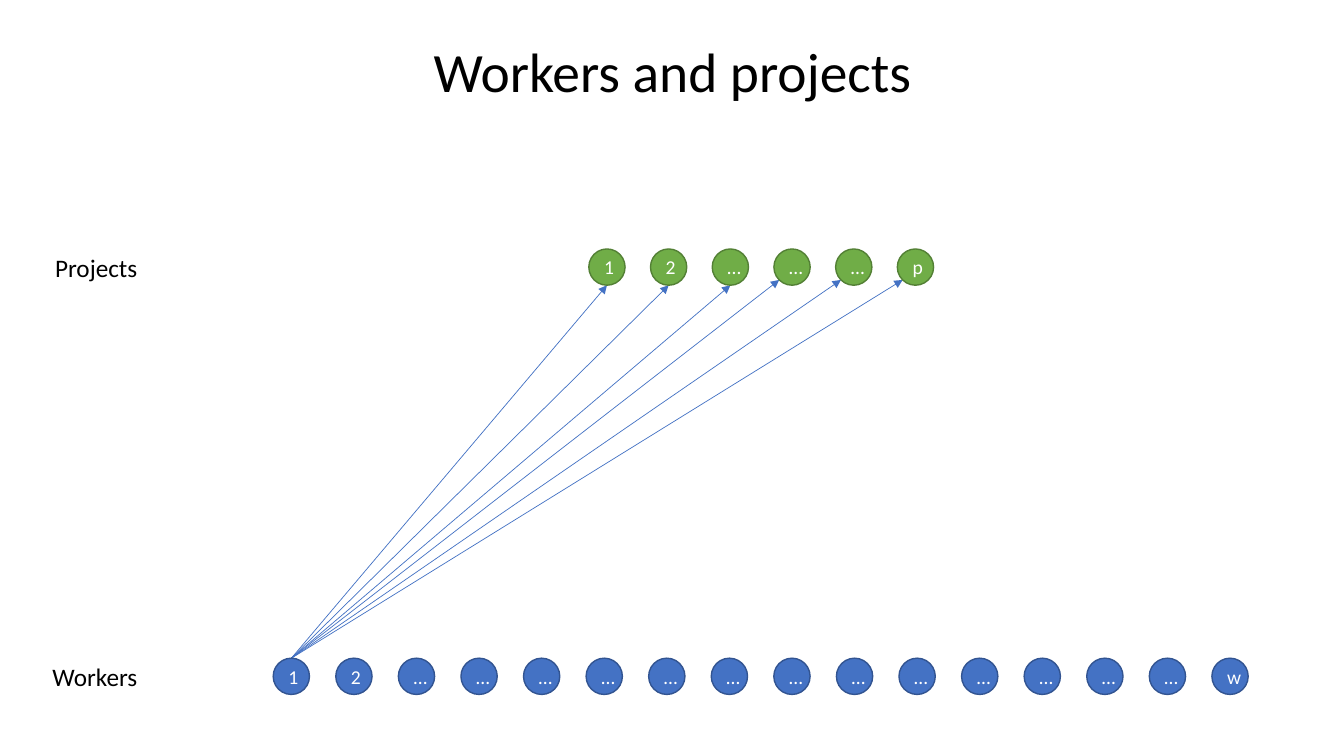
from dataclasses import dataclass
from math import cos, pi, sin

from lxml.etree import SubElement
from pptx import Presentation
from pptx.dml.color import RGBColor
from pptx.enum.shapes import MSO_CONNECTOR, MSO_SHAPE
from pptx.enum.text import MSO_ANCHOR, MSO_AUTO_SIZE, PP_ALIGN
from pptx.oxml.ns import qn
from pptx.util import Pt


@dataclass(frozen=True)
class Theme:
    """Colours, type sizes and line widths of the slide."""
    font: str = "Calibri"
    ink: str = "000000"
    node_text: str = "FFFFFF"
    project: tuple = ("70AD47", "538035")
    worker: tuple = ("4472C4", "325491")
    arrow: str = "4472C4"
    title_size: float = 39.6
    label_size: float = 18
    node_size: float = 14
    outline: float = 1
    arrow_width: float = 0.5


@dataclass(frozen=True)
class Box:
    """A region of the slide in px."""
    left: int
    top: int
    width: int
    height: int


THEME = Theme()
PX = 9144
NODE = 36
LABEL_BOX = Box(4, -2, 142, 40)
TITLE_BOX = Box(92, 40, 1150, 67)
PROJECTS_BOX = Box(584, 247, 342, NODE)
WORKERS_BOX = Box(271, 653, 967, NODE)
PROJECTS = ["1", "2", "…", "…", "…", "p"]
WORKERS = ["1", "2"] + ["…"] * 13 + ["w"]
BOTTOM, LOWER_LEFT = pi / 2, pi * 3 / 4
ARROW_ANGLES = [BOTTOM] * 3 + [LOWER_LEFT] * 3


def px(length):
    """Turn px into EMU."""
    return round(length * PX)


def emu(box):
    """Give the sides of a box in EMU."""
    return [px(side) for side in (box.left, box.top, box.width, box.height)]


def write(frame, text, size, color, align, **frame_format):
    """Write one formatted paragraph into a text frame."""
    for name, value in {"word_wrap": True, **frame_format}.items():
        setattr(frame, name, value)
    paragraph = frame.paragraphs[0]
    paragraph.text = text
    paragraph.alignment = align
    font = paragraph.runs[0].font
    for name, value in {"name": THEME.font, "size": Pt(size)}.items():
        setattr(font, name, value)
    font.color.rgb = RGBColor.from_string(color)
    return paragraph


def node_lefts(box, count):
    """Spread the left edges of equal nodes evenly over a box."""
    pitch = (box.width - NODE) / (count - 1)
    return [box.left + index * pitch for index in range(count)]


def add_title(slide, box):
    """Place and format the slide title."""
    title = slide.shapes.title
    for name, value in zip(("left", "top", "width", "height"), emu(box)):
        setattr(title, name, value)
    heading = write(title.text_frame, "Workers and projects", THEME.title_size,
                    THEME.ink, PP_ALIGN.CENTER, auto_size=MSO_AUTO_SIZE.NONE,
                    vertical_anchor=MSO_ANCHOR.MIDDLE)
    heading.line_spacing = 0.9


def add_row(slide, box, label, names, colors):
    """Draw a labelled row of round nodes."""
    row = slide.shapes.add_group_shape().shapes
    fill, outline = (RGBColor.from_string(color) for color in colors)
    for left, name in zip(node_lefts(box, len(names)), names):
        node = row.add_shape(MSO_SHAPE.OVAL, *emu(Box(left, box.top, NODE, NODE)))
        node.shadow.inherit = False
        node.fill.solid()
        node.fill.fore_color.rgb = fill
        node.line.color.rgb = outline
        node.line.width = Pt(THEME.outline)
        write(node.text_frame, name, THEME.node_size, THEME.node_text,
              PP_ALIGN.CENTER, vertical_anchor=MSO_ANCHOR.MIDDLE)
    label_box = Box(LABEL_BOX.left, box.top + LABEL_BOX.top,
                    LABEL_BOX.width, LABEL_BOX.height)
    caption = row.add_textbox(*emu(label_box))
    write(caption.text_frame, label, THEME.label_size, THEME.ink,
          PP_ALIGN.RIGHT, auto_size=MSO_AUTO_SIZE.SHAPE_TO_FIT_TEXT)


def add_arrows(slide, workers_box, projects_box):
    """Link the first worker to every project."""
    radius = NODE / 2
    start = px(workers_box.left + radius), px(workers_box.top)
    lefts = node_lefts(projects_box, len(PROJECTS))
    for left, angle in zip(lefts, ARROW_ANGLES):
        end_x = left + radius * (1 + cos(angle))
        end_y = projects_box.top + radius * (1 + sin(angle))
        arrow = slide.shapes.add_connector(
            MSO_CONNECTOR.STRAIGHT, *start, px(end_x), px(end_y))
        arrow.line.color.rgb = RGBColor.from_string(THEME.arrow)
        arrow.line.width = Pt(THEME.arrow_width)
        properties = arrow.element.spPr
        SubElement(properties.find(qn("a:ln")), qn("a:tailEnd"), type="triangle")
        SubElement(properties, qn("a:effectLst"))


def main():
    """Build and save the slide."""
    deck = Presentation()
    deck.slide_width, deck.slide_height = px(1333), px(750)
    slide = deck.slides.add_slide(deck.slide_layouts[5])
    add_title(slide, TITLE_BOX)
    add_arrows(slide, WORKERS_BOX, PROJECTS_BOX)
    add_row(slide, PROJECTS_BOX, "Projects", PROJECTS, THEME.project)
    add_row(slide, WORKERS_BOX, "Workers", WORKERS, THEME.worker)
    deck.save("out.pptx")


if __name__ == "__main__":
    main()
